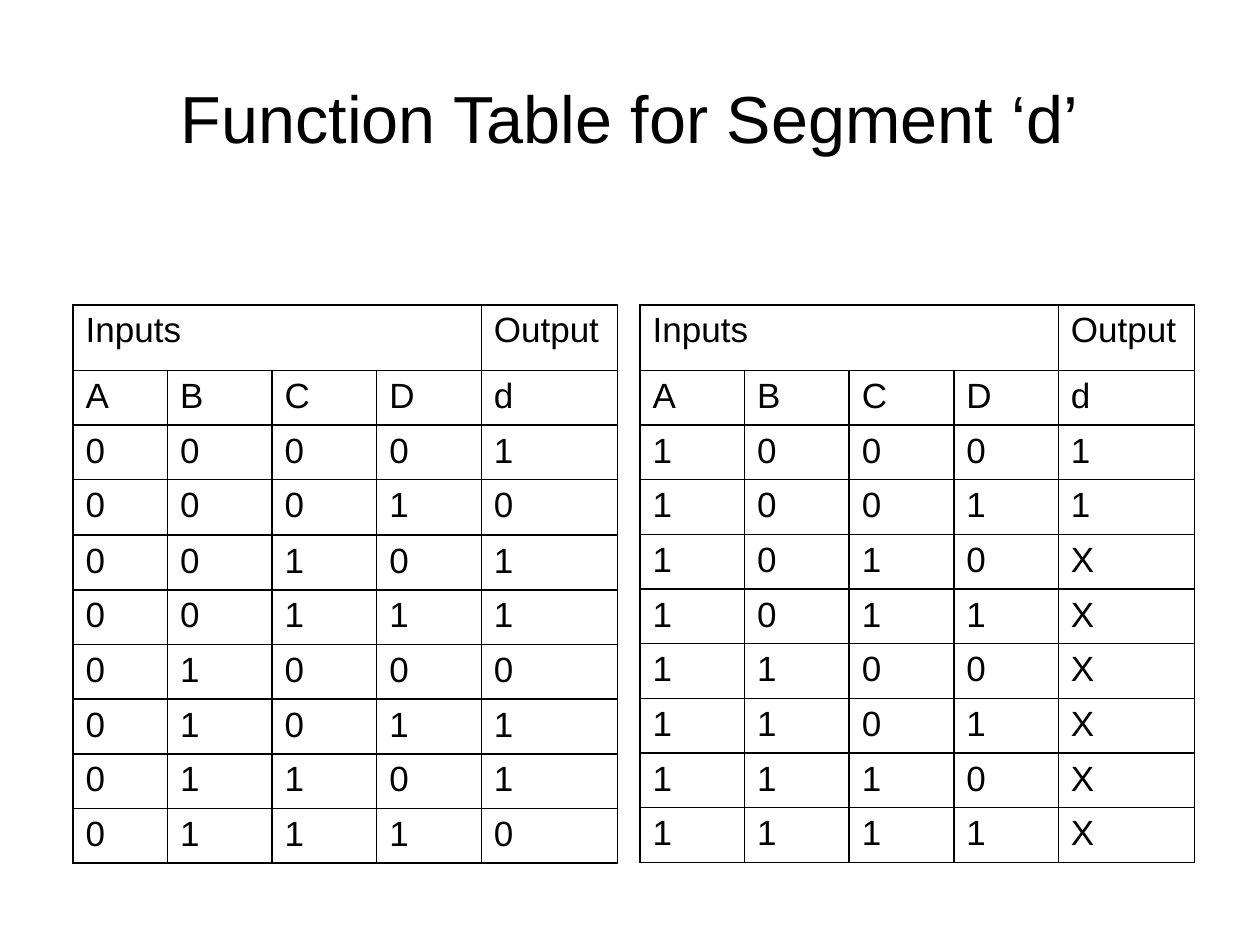
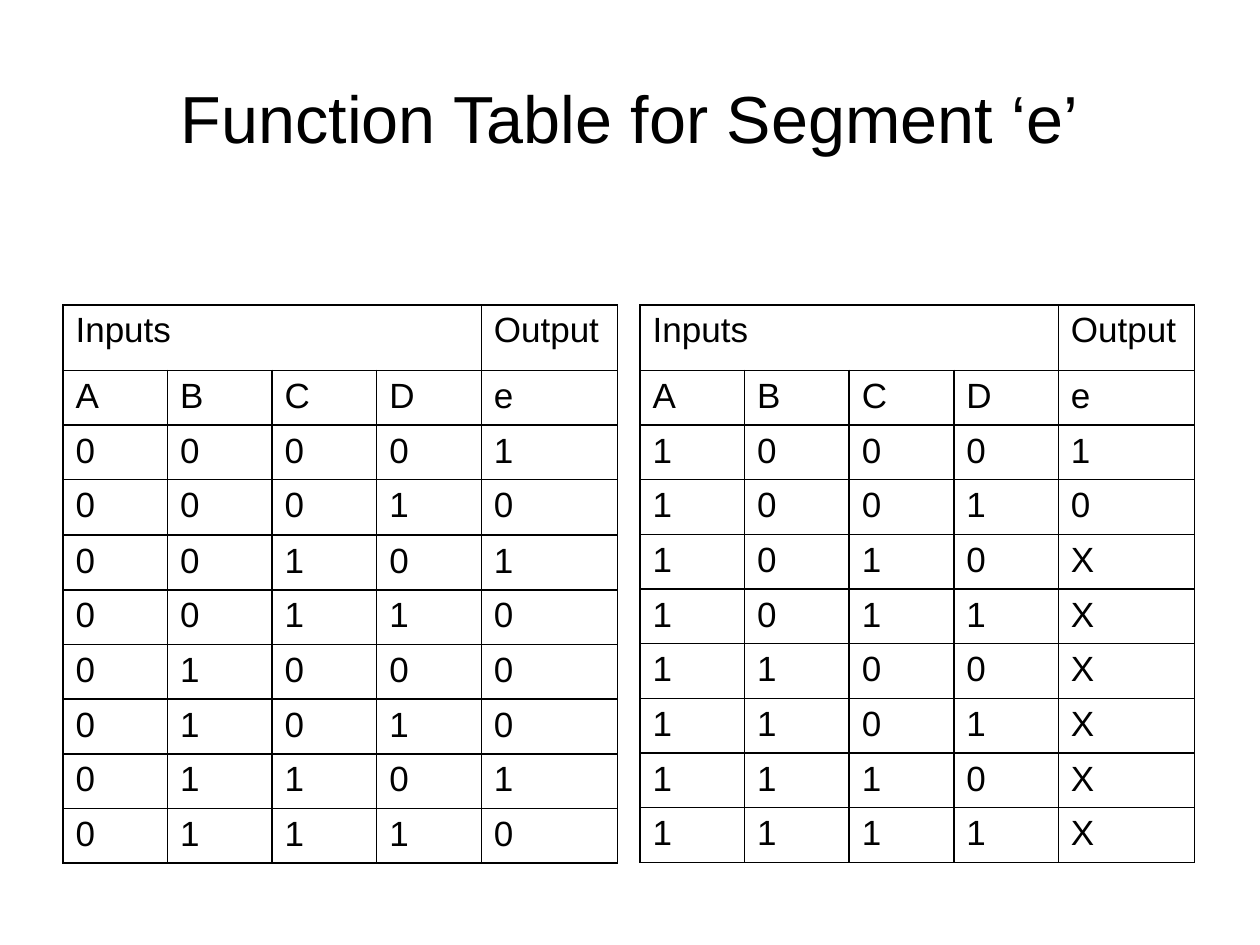
import dataclasses
import itertools

import pptx
import pptx.dml.color
import pptx.enum.text
import pptx.oxml
import pptx.oxml.ns
import pptx.util

Inches = pptx.util.Inches
Pt = pptx.util.Pt


@dataclasses.dataclass(frozen=True)
class Theme:
    font: str = "Arial"
    ink: str = "000000"
    title_size: int = 38
    table_size: int = 20
    border_width: int = 1


THEME = Theme()
INPUTS = "ABCD"
INPUT_WIDTH = 0.83
OUTPUT_WIDTH = 1.08
HEADER_HEIGHT = 0.52
ROW_HEIGHT = 0.41
TALL_ROW = 3
TALL_ROW_HEIGHT = 0.44
TABLE_TOP = 2.42
RIGHT_TABLE_LEFT = 5.08

# Segment, outputs for A=0, outputs for A=1, left edge and width of column A at left
SEGMENTS = [
    ("d", "10110110", "11XXXXXX", 0.58, 0.75),
    ("e", "10100010", "10XXXXXX", 0.5, INPUT_WIDTH),
]


def write(frame, text, size, alignment):
    paragraph = frame.paragraphs[0]
    paragraph.alignment = alignment
    run = paragraph.add_run()
    run.text = text
    run.font.name = THEME.font
    run.font.size = Pt(size)
    run.font.color.rgb = pptx.dml.color.RGBColor.from_string(THEME.ink)


def add_title(slide, text):
    title = slide.shapes.add_textbox(Inches(0.5), Inches(0.3), Inches(9), Inches(1.25))
    frame = title.text_frame
    frame.word_wrap = True
    frame.vertical_anchor = pptx.enum.text.MSO_ANCHOR.MIDDLE
    write(frame, text, THEME.title_size, pptx.enum.text.PP_ALIGN.CENTER)


def outline_cell(cell):
    properties = cell._tc.get_or_add_tcPr()
    namespace = pptx.oxml.ns.nsdecls("a")
    for side in "LRTB":
        properties.append(pptx.oxml.parse_xml(
            f'<a:ln{side} {namespace} w="{Pt(THEME.border_width)}"><a:solidFill>'
            f'<a:srgbClr val="{THEME.ink}"/></a:solidFill></a:ln{side}>'))
    cell.fill.background()


def truth_rows(segment, a_value, outputs):
    """Two heading rows, then one row per combination of B, C and D."""
    combinations = itertools.product("01", repeat=len(INPUTS) - 1)
    body = [[a_value, *bits, output] for bits, output in zip(combinations, outputs)]
    return [["Inputs", "", "", "", "Output"], [*INPUTS, segment], *body]


def add_truth_table(slide, rows, left, column_a_width=INPUT_WIDTH, tall_row=None):
    widths = [column_a_width] + [INPUT_WIDTH] * (len(INPUTS) - 1) + [OUTPUT_WIDTH]
    heights = [HEADER_HEIGHT] + [ROW_HEIGHT] * (len(rows) - 1)
    if tall_row is not None:
        heights[tall_row] = TALL_ROW_HEIGHT
    table = slide.shapes.add_table(
        len(rows), len(widths), Inches(left), Inches(TABLE_TOP),
        Inches(sum(widths)), Inches(sum(heights))).table
    table.first_row = table.horz_banding = False
    for column, width in zip(table.columns, widths):
        column.width = Inches(width)
    for row, height in zip(table.rows, heights):
        row.height = Inches(height)
    table.cell(0, 0).merge(table.cell(0, len(INPUTS) - 1))
    for row, values in zip(table.rows, rows):
        for cell, value in zip(row.cells, values):
            outline_cell(cell)
            if value:
                write(cell.text_frame, value, THEME.table_size,
                      pptx.enum.text.PP_ALIGN.JUSTIFY)


def main():
    deck = pptx.Presentation()
    deck.slide_width, deck.slide_height = Inches(10), Inches(7.5)
    for segment, low_outputs, high_outputs, left, column_a_width in SEGMENTS:
        slide = deck.slides.add_slide(deck.slide_layouts[6])
        add_title(slide, f"Function Table for Segment ‘{segment}’")
        add_truth_table(slide, truth_rows(segment, "0", low_outputs), left,
                        column_a_width, TALL_ROW)
        add_truth_table(slide, truth_rows(segment, "1", high_outputs), RIGHT_TABLE_LEFT)
    deck.save("out.pptx")


if __name__ == "__main__":
    main()
